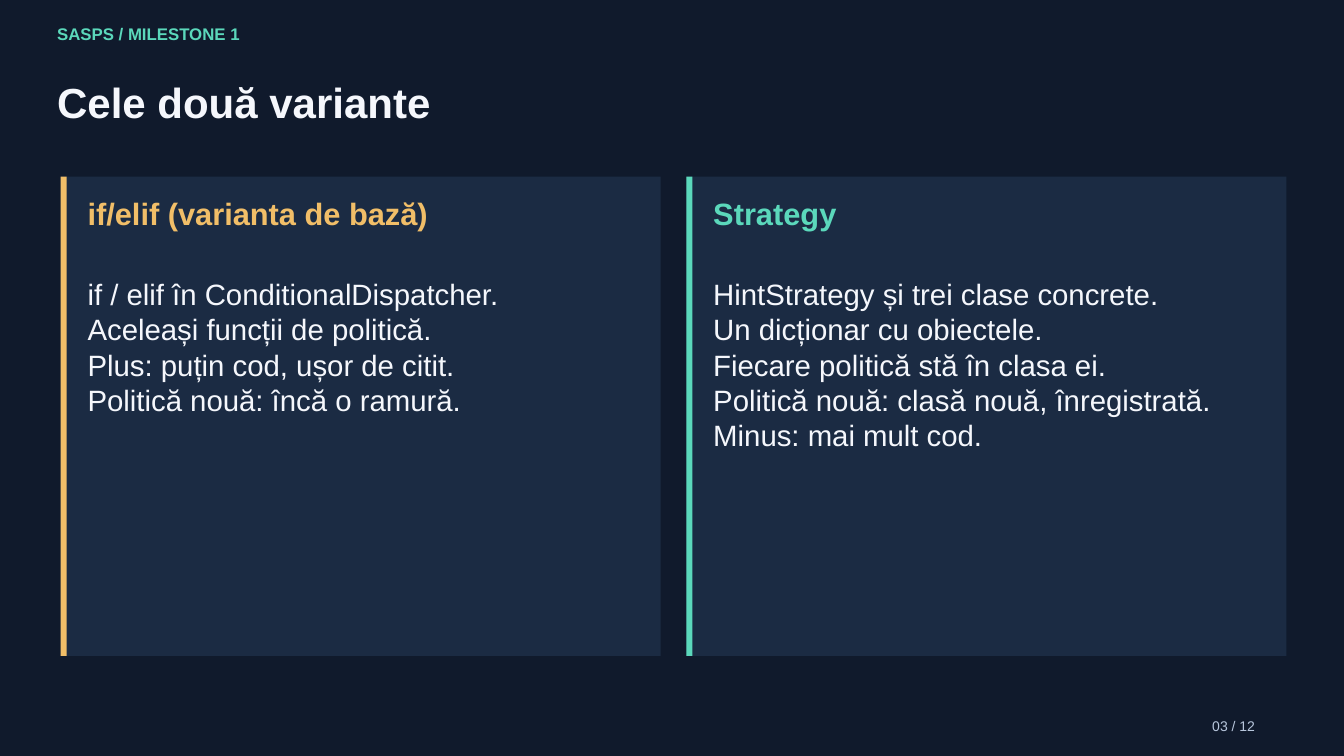
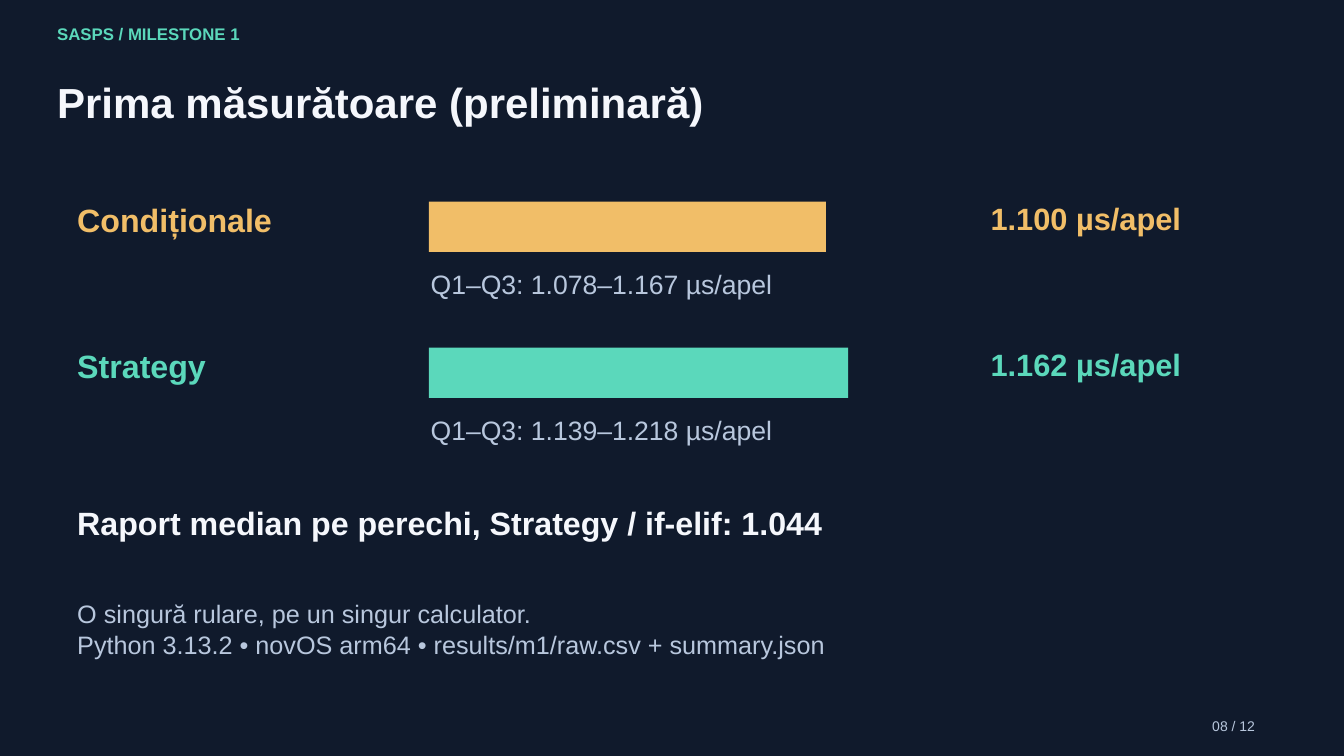
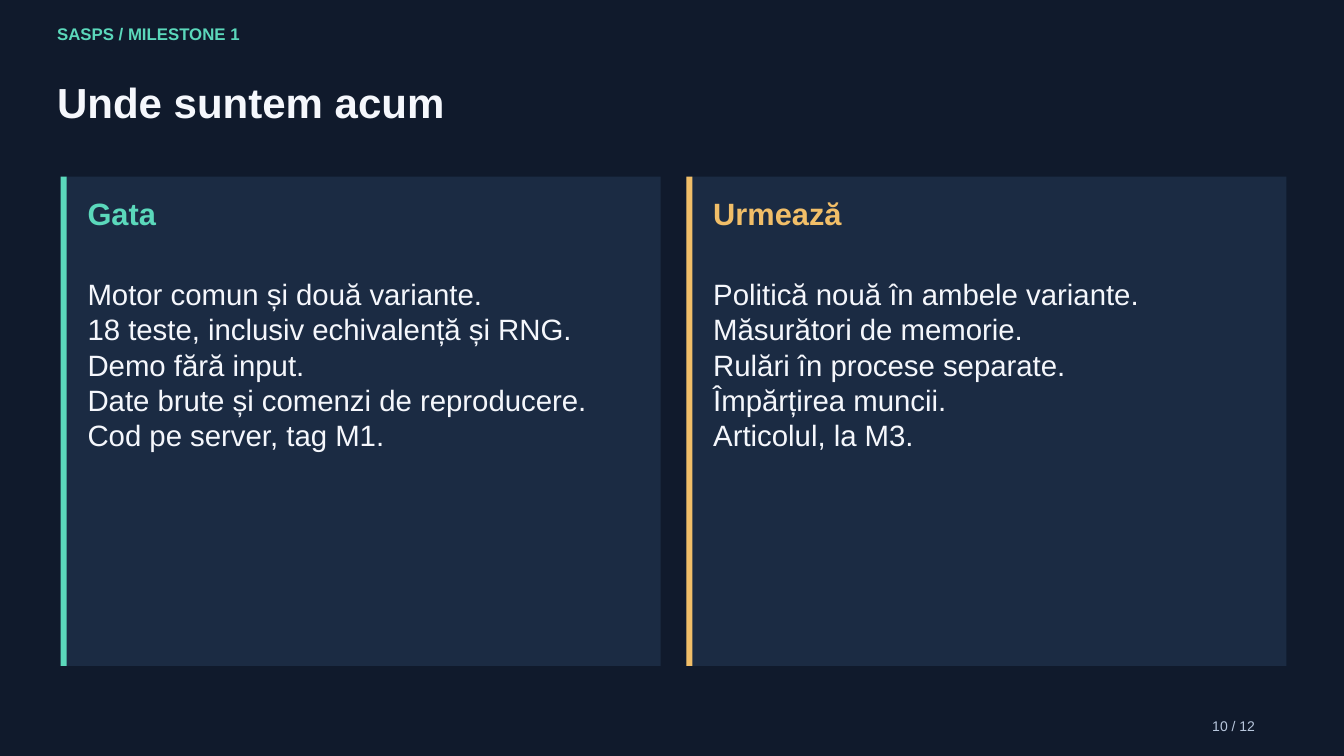
from dataclasses import dataclass, field

from pptx import Presentation
from pptx import util as u
from pptx.dml.color import RGBColor
from pptx.enum import shapes, text
from pptx.slide import Slide


@dataclass(frozen=True)
class TextStyle:
    size: float
    bold: bool = False


@dataclass(frozen=True)
class Theme:
    font: str = "Arial"
    line_height: float = 1.2
    background: str = "101A2C"
    panel: str = "1B2B43"
    white: str = "F5F7FC"
    muted: str = "B8C7DD"
    amber: str = "F1BE68"
    mint: str = "5BD8BB"
    kicker: TextStyle = field(default=TextStyle(18, True))
    title: TextStyle = field(default=TextStyle(45, True))
    page: TextStyle = field(default=TextStyle(15))
    heading: TextStyle = field(default=TextStyle(33, True))
    body: TextStyle = field(default=TextStyle(31.5))
    statement: TextStyle = field(default=TextStyle(34.5, True))
    quartiles: TextStyle = field(default=TextStyle(28.5))
    note: TextStyle = field(default=TextStyle(27))


@dataclass(frozen=True)
class Box:
    """Position and size in centimetres."""
    left: float
    top: float
    width: float
    height: float

    def lengths(self) -> list[u.Length]:
        return [u.Cm(value) for value in (self.left, self.top, self.width, self.height)]


@dataclass(frozen=True)
class Panel:
    heading: str
    color: str
    lines: tuple[str, ...]


@dataclass(frozen=True)
class Measurement:
    variant: str
    color: str
    median: float
    quartiles: str


THEME = Theme()
SLIDE_WIDTH = 50.8
PAGE_COUNT = 12
KICKER = "SASPS / MILESTONE 1"

PANEL_LEFT, PANEL_TOP, PANEL_WIDTH, PANEL_PITCH = 2.29, 6.68, 22.68, 23.65
PANEL_INSET = 1.02
ACCENT_WIDTH = 0.23

MARGIN = 2.92
ROW_TOP, ROW_PITCH = 7.62, 5.52
BAR_LEFT, BAR_HEIGHT = 16.21, 1.9
BAR_CM_PER_MICROSECOND = 13.64

VARIANTS = (
    Panel("if/elif (varianta de bază)", THEME.amber, (
        "if / elif în ConditionalDispatcher.",
        "Aceleași funcții de politică.",
        "Plus: puțin cod, ușor de citit.",
        "Politică nouă: încă o ramură.",
    )),
    Panel("Strategy", THEME.mint, (
        "HintStrategy și trei clase concrete.",
        "Un dicționar cu obiectele.",
        "Fiecare politică stă în clasa ei.",
        "Politică nouă: clasă nouă, înregistrată.",
        "Minus: mai mult cod.",
    )),
)

MEASUREMENTS = (
    Measurement("Condiționale", THEME.amber, 1.100, "1.078–1.167"),
    Measurement("Strategy", THEME.mint, 1.162, "1.139–1.218"),
)

PROGRESS = (
    Panel("Gata", THEME.mint, (
        "Motor comun și două variante.",
        "18 teste, inclusiv echivalență și RNG.",
        "Demo fără input.",
        "Date brute și comenzi de reproducere.",
        "Cod pe server, tag M1.",
    )),
    Panel("Urmează", THEME.amber, (
        "Politică nouă în ambele variante.",
        "Măsurători de memorie.",
        "Rulări în procese separate.",
        "Împărțirea muncii.",
        "Articolul, la M3.",
    )),
)


def add_text(slide: Slide, box: Box, content: str, style: TextStyle, color: str) -> None:
    frame = slide.shapes.add_textbox(*box.lengths()).text_frame
    frame.word_wrap = True
    frame.auto_size = text.MSO_AUTO_SIZE.SHAPE_TO_FIT_TEXT
    frame.margin_left = frame.margin_top = frame.margin_right = frame.margin_bottom = 0
    frame.text = content
    for paragraph in frame.paragraphs:
        paragraph.line_spacing = u.Pt(style.size * THEME.line_height)
        for run in paragraph.runs:
            run.font.name = THEME.font
            run.font.size = u.Pt(style.size)
            run.font.bold = style.bold
            run.font.color.rgb = RGBColor.from_string(color)


def add_rectangle(slide: Slide, box: Box, color: str) -> None:
    shape = slide.shapes.add_shape(shapes.MSO_SHAPE.RECTANGLE, *box.lengths())
    shape.shadow.inherit = False
    shape.fill.solid()
    shape.fill.fore_color.rgb = RGBColor.from_string(color)
    shape.line.fill.background()


def add_panels(slide: Slide, panels: tuple[Panel, ...], height: float) -> None:
    text_width = PANEL_WIDTH - 2 * PANEL_INSET
    for index, panel in enumerate(panels):
        left = PANEL_LEFT + index * PANEL_PITCH
        text_left = left + PANEL_INSET
        add_rectangle(slide, Box(left, PANEL_TOP, PANEL_WIDTH, height), THEME.panel)
        add_rectangle(slide, Box(left, PANEL_TOP, ACCENT_WIDTH, height), panel.color)
        add_text(slide, Box(text_left, PANEL_TOP + 0.69, text_width, 2.57),
                 panel.heading, THEME.heading, panel.color)
        add_text(slide, Box(text_left, PANEL_TOP + 3.76, text_width, height - 4.32),
                 "\n".join(panel.lines), THEME.body, THEME.white)


def add_measurements(slide: Slide) -> None:
    for index, row in enumerate(MEASUREMENTS):
        top = ROW_TOP + index * ROW_PITCH
        add_text(slide, Box(MARGIN, top - 0.05, 12.83, 1.96),
                 row.variant, THEME.statement, row.color)
        add_rectangle(slide, Box(BAR_LEFT, top, row.median * BAR_CM_PER_MICROSECOND, BAR_HEIGHT),
                      row.color)
        add_text(slide, Box(37.44, top - 0.08, 10.54, 1.98),
                 f"{row.median:.3f} µs/apel", THEME.heading, row.color)
        add_text(slide, Box(BAR_LEFT + 0.07, top + 2.51, 29.97, 1.96),
                 f"Q1–Q3: {row.quartiles} µs/apel", THEME.quartiles, THEME.muted)
    add_text(slide, Box(MARGIN, 19.02, 45.24, 2.16),
             "Raport median pe perechi, Strategy / if-elif: 1.044", THEME.statement, THEME.white)
    add_text(slide, Box(MARGIN, 22.63, 45.24, 3.3),
             "O singură rulare, pe un singur calculator.\n"
             "Python 3.13.2 • novOS arm64 • results/m1/raw.csv + summary.json",
             THEME.note, THEME.muted)


def add_frame(slide: Slide, title: str, page: int) -> None:
    """Add the kicker, title and page number that every slide carries."""
    add_text(slide, Box(2.16, 0.89, 45.62, 1.4), KICKER, THEME.kicker, THEME.mint)
    add_text(slide, Box(2.16, 2.9, 46.38, 2.74), title, THEME.title, THEME.white)
    add_text(slide, Box(45.82, 27.13, 2.72, 1.02),
             f"{page:02} / {PAGE_COUNT}", THEME.page, THEME.muted)


def main() -> None:
    presentation = Presentation()
    presentation.slide_width = u.Cm(SLIDE_WIDTH)
    presentation.slide_height = u.Cm(SLIDE_WIDTH * 9 / 16)
    background = presentation.slide_master.background.fill
    background.solid()
    background.fore_color.rgb = RGBColor.from_string(THEME.background)
    blank = presentation.slide_layouts[6]

    variants = presentation.slides.add_slide(blank)
    add_panels(variants, VARIANTS, height=18.11)
    add_frame(variants, "Cele două variante", 3)

    results = presentation.slides.add_slide(blank)
    add_measurements(results)
    add_frame(results, "Prima măsurătoare (preliminară)", 8)

    progress = presentation.slides.add_slide(blank)
    add_panels(progress, PROGRESS, height=18.49)
    add_frame(progress, "Unde suntem acum", 10)

    presentation.save("out.pptx")


if __name__ == "__main__":
    main()
